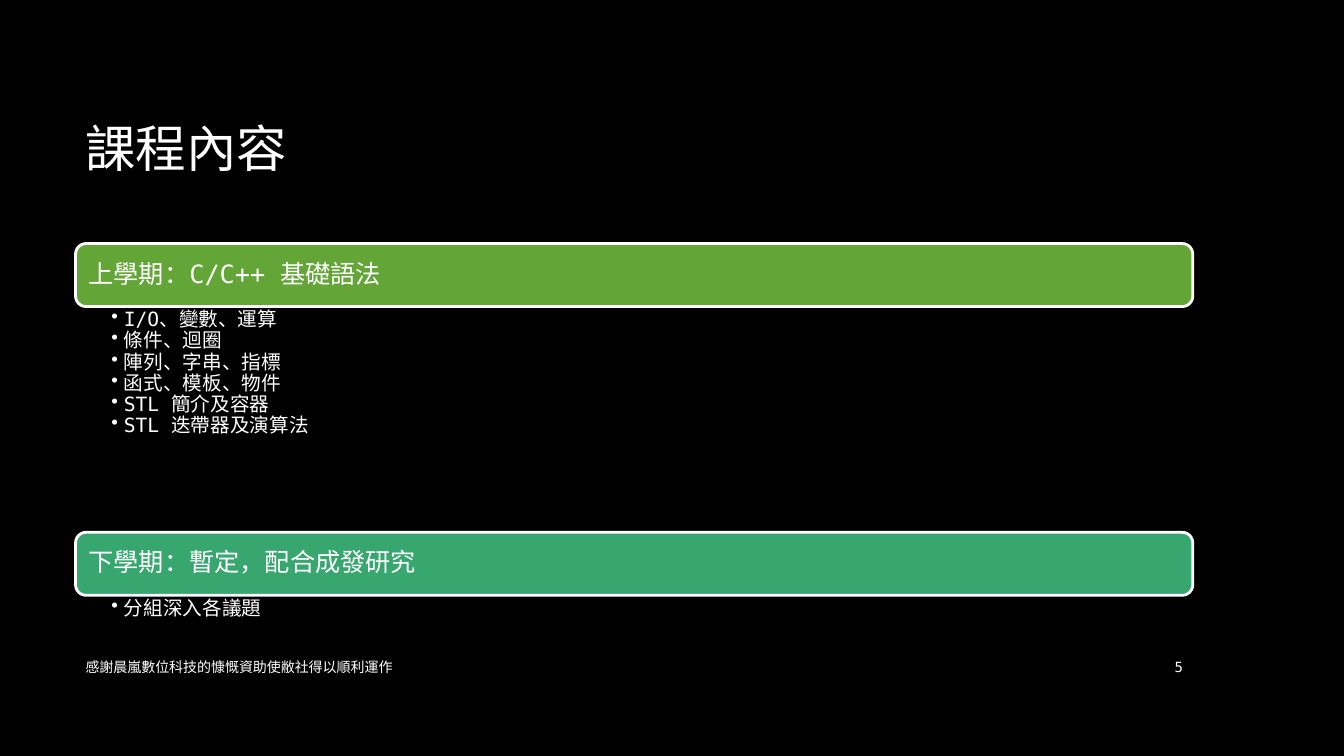
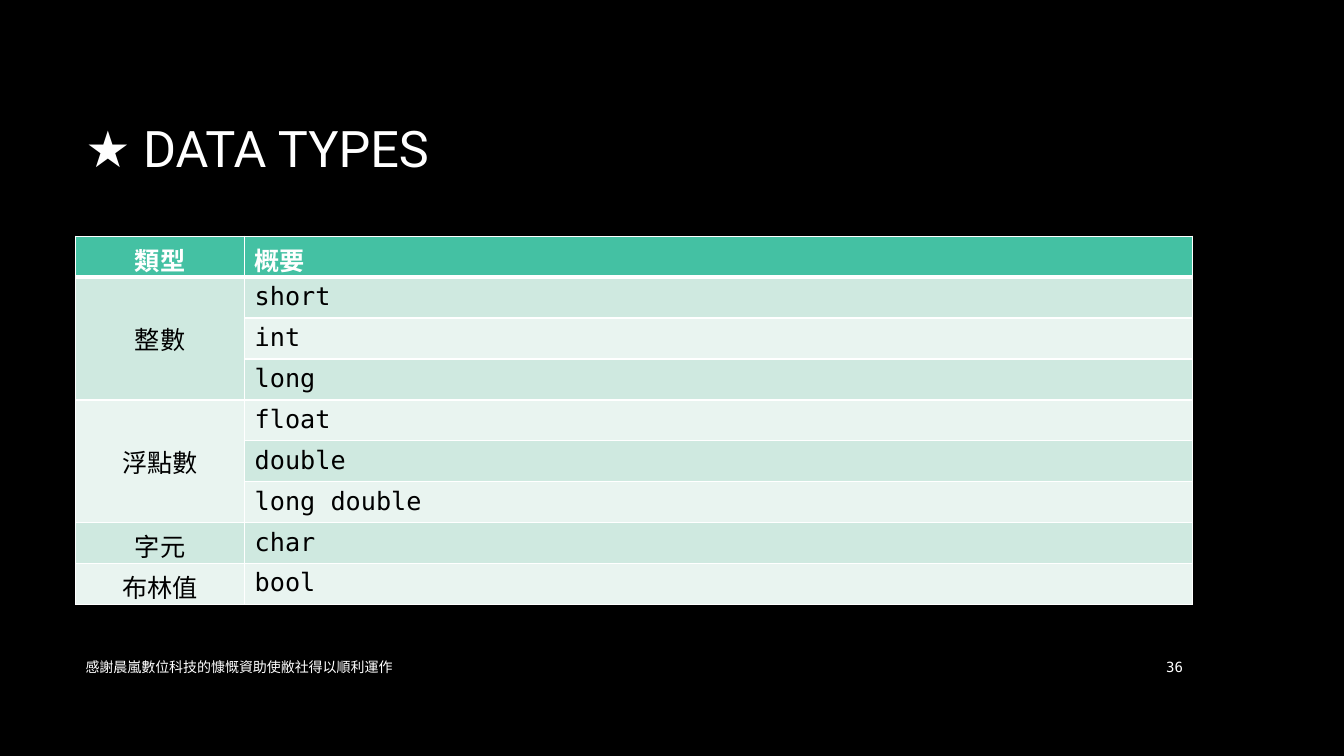
"""Build two course slides: the course outline and the data type table."""
import pptx
import pptx.dml.color
import pptx.enum.shapes
import pptx.enum.text
import pptx.oxml
import pptx.oxml.ns
import pptx.util

RGBColor = pptx.dml.color.RGBColor
ALIGN = pptx.enum.text.PP_ALIGN
ANCHOR = pptx.enum.text.MSO_ANCHOR

BLACK = RGBColor(0x00, 0x00, 0x00)
WHITE = RGBColor(0xFF, 0xFF, 0xFF)
GREEN = RGBColor(0x63, 0xA5, 0x37)
SEA_GREEN = RGBColor(0x37, 0xA7, 0x6F)
TEAL = RGBColor(0x44, 0xC1, 0xA3)
BANDS = (RGBColor(0xCF, 0xE9, 0xE0), RGBColor(0xE9, 0xF4, 0xF0))

TITLE_FONT = "Roboto"
BODY_FONT = "DejaVu Sans Mono"
FOOTER = "感謝晨嵐數位科技的慷慨資助使敝社得以順利運作"

LEFT = 72
WIDTH = 1064
BAR_HEIGHT = 60
ROW_HEIGHT = 39
LIST_MARGINS = (34, 3, 13, 3)

SEMESTERS = (
    ("上學期：C/C++ 基礎語法", GREEN, 232, 215,
     ("I/O、變數、運算", "條件、迴圈", "陣列、字串、指標",
      "函式、模板、物件", "STL 簡介及容器", "STL 迭帶器及演算法")),
    ("下學期：暫定，配合成發研究", SEA_GREEN, 507, 34, ("分組深入各議題",)),
)
DATA_TYPES = (
    ("整數", ("short", "int", "long")),
    ("浮點數", ("float", "double", "long double")),
    ("字元", ("char",)),
    ("布林值", ("bool",)),
)


def px(length):
    """Turn pixels, 96 to the inch, into EMU."""
    return pptx.util.Emu(length * 9525)


def add_bullet(paragraph):
    """Give a paragraph a round bullet with a hanging indent."""
    properties = paragraph._p.get_or_add_pPr()
    properties.set("marL", str(px(12)))
    properties.set("indent", str(px(-12)))
    bullet = pptx.oxml.parse_xml(
        f'<a:buChar {pptx.oxml.ns.nsdecls("a")} char="•"/>')
    properties.append(bullet)


def write_text(frame, *lines, size=18, font=BODY_FONT, color=WHITE, bold=False,
               align=ALIGN.LEFT, anchor=ANCHOR.MIDDLE, spacing=None,
               bullets=False):
    """Fill a text frame with one formatted paragraph for each line."""
    frame.word_wrap = True
    frame.vertical_anchor = anchor
    for index, line in enumerate(lines):
        paragraph = frame.add_paragraph() if index else frame.paragraphs[0]
        if bullets:
            add_bullet(paragraph)
        paragraph.alignment = align
        if spacing:
            paragraph.line_spacing = spacing
        run = paragraph.add_run()
        run.text = line
        run.font.size = pptx.util.Pt(size)
        run.font.name = font
        run.font.bold = bold
        run.font.color.rgb = color


def add_text(slide, box, *lines, margins=None, **text_format):
    """Add a text box at left, top, width, height."""
    frame = slide.shapes.add_textbox(*map(px, box)).text_frame
    if margins:
        (frame.margin_left, frame.margin_top,
         frame.margin_right, frame.margin_bottom) = map(px, margins)
    write_text(frame, *lines, **text_format)


def add_slide(presentation, title, number):
    """Add a black slide with its title, footer and number."""
    slide = presentation.slides.add_slide(presentation.slide_layouts[6])
    slide.background.fill.solid()
    slide.background.fill.fore_color.rgb = BLACK
    add_text(slide, (LEFT, 64, WIDTH, 153), title, size=36, font=TITLE_FONT)
    add_text(slide, (LEFT, 616, 822, 39), FOOTER, size=10)
    add_text(slide, (1078, 616, 58, 39), str(number), size=10,
             align=ALIGN.RIGHT)
    return slide


def add_semester(slide, heading, color, top, list_height, topics):
    """Add a semester bar with its bulleted topics below."""
    bar = slide.shapes.add_shape(
        pptx.enum.shapes.MSO_SHAPE.ROUNDED_RECTANGLE,
        *map(px, (LEFT, top, WIDTH, BAR_HEIGHT)))
    bar.shadow.inherit = False
    bar.fill.solid()
    bar.fill.fore_color.rgb = color
    bar.line.color.rgb = WHITE
    bar.line.width = pptx.util.Pt(2)
    write_text(bar.text_frame, heading, spacing=0.9)
    add_text(slide, (LEFT, top + BAR_HEIGHT, WIDTH, list_height), *topics,
             margins=LIST_MARGINS, size=14, spacing=0.9, bullets=True,
             anchor=ANCHOR.TOP)


def style_cell(cell, fill, top=1, bottom=1):
    """Give a cell its fill and white borders, with widths in points."""
    properties = cell._tc.get_or_add_tcPr()
    for side, width in (("L", 1), ("R", 1), ("T", top), ("B", bottom)):
        properties.append(pptx.oxml.parse_xml(
            f'<a:ln{side} {pptx.oxml.ns.nsdecls("a")} '
            f'w="{pptx.util.Pt(width)}"><a:solidFill>'
            f'<a:srgbClr val="{WHITE}"/></a:solidFill></a:ln{side}>'))
    cell.fill.solid()
    cell.fill.fore_color.rgb = fill


def add_type_table(slide):
    """Add the table of data types, with one merged cell for each group."""
    row_count = 1 + sum(len(names) for _, names in DATA_TYPES)
    table = slide.shapes.add_table(
        row_count, 2,
        *map(px, (LEFT, 225, WIDTH, ROW_HEIGHT * row_count))).table
    for column, width in zip(table.columns, (161, 903)):
        column.width = px(width)
    for row in table.rows:
        row.height = px(ROW_HEIGHT)

    for column, heading in enumerate(("類型", "概要")):
        cell = table.cell(0, column)
        style_cell(cell, TEAL, bottom=3)
        write_text(cell.text_frame, heading, bold=True,
                   align=ALIGN.LEFT if column else ALIGN.CENTER)
        cell.vertical_anchor = ANCHOR.TOP if column else ANCHOR.MIDDLE

    first = 1
    for group, names in DATA_TYPES:
        group_fill = BANDS[(first - 1) % 2]
        for row, name in enumerate(names, first):
            style_cell(table.cell(row, 0), group_fill, top=3 if row == 1 else 1)
            cell = table.cell(row, 1)
            style_cell(cell, BANDS[(row - 1) % 2], top=3 if row == 1 else 1)
            write_text(cell.text_frame, name, color=BLACK, anchor=ANCHOR.TOP)
        cell = table.cell(first, 0)
        if len(names) > 1:
            cell.merge(table.cell(first + len(names) - 1, 0))
        write_text(cell.text_frame, group, color=BLACK, align=ALIGN.CENTER)
        cell.vertical_anchor = ANCHOR.MIDDLE
        first += len(names)


def main():
    """Build and save the presentation."""
    presentation = pptx.Presentation()
    presentation.slide_width = px(1280)
    presentation.slide_height = px(720)
    outline = add_slide(presentation, "課程內容", 5)
    for semester in SEMESTERS:
        add_semester(outline, *semester)
    add_type_table(add_slide(presentation, "★ DATA TYPES", 36))
    presentation.save("out.pptx")


if __name__ == "__main__":
    main()
